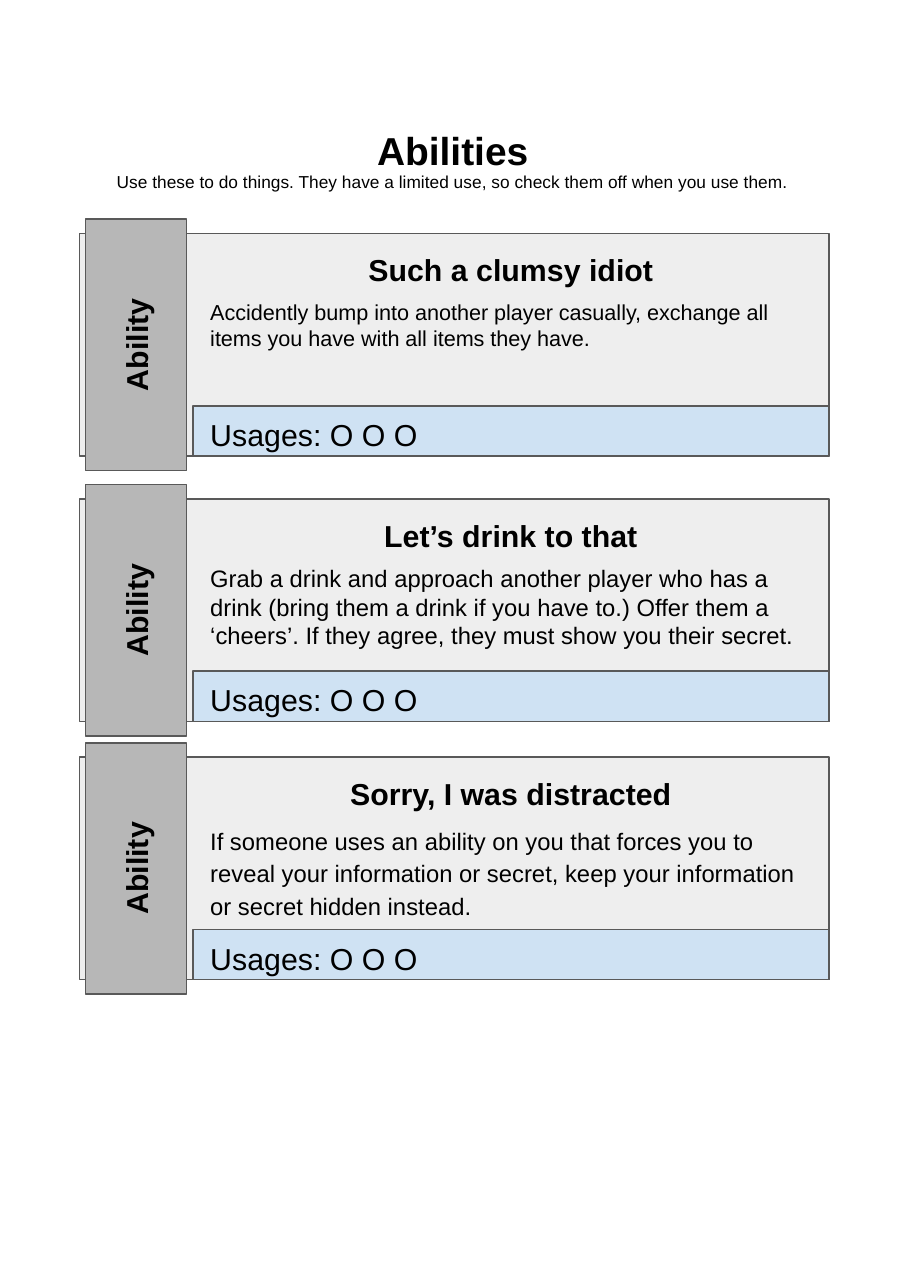
from dataclasses import dataclass

from pptx import Presentation
from pptx.dml.color import RGBColor
from pptx.enum.shapes import MSO_SHAPE
from pptx.enum.text import MSO_ANCHOR, MSO_AUTO_SIZE, PP_ALIGN
from pptx.shapes.autoshape import Shape
from pptx.slide import Slide
from pptx.util import Cm, Pt

RECT = MSO_SHAPE.RECTANGLE
TOP, MIDDLE = MSO_ANCHOR.TOP, MSO_ANCHOR.MIDDLE
LEFT, CENTER = PP_ALIGN.LEFT, PP_ALIGN.CENTER
NO_FIT = MSO_AUTO_SIZE.NONE

BLACK = RGBColor(0x00, 0x00, 0x00)
OUTLINE = RGBColor(0x59, 0x59, 0x59)
CARD_FILL = RGBColor(0xEE, 0xEE, 0xEE)
TAB_FILL = RGBColor(0xB7, 0xB7, 0xB7)
USAGE_FILL = RGBColor(0xCF, 0xE2, 0xF3)

FONT = "Arial"
INSET = Cm(0.25)
CARD_LEFT, CARD_W, CARD_H = 1.3, 12.22, 3.63
TAB_CENTER, TAB_LENGTH, TAB_DEPTH = 2.22, 4.1, 1.65
BAR_LEFT, BAR_H = 3.15, 0.82
TEXT_LEFT, TEXT_W = 3.18, 10.31


@dataclass(frozen=True)
class Ability:
    top: float
    name: str
    description: str
    size: float
    spacing: float = 1.0


@dataclass(frozen=True)
class Box:
    """Left, top, width and height in centimetres."""
    left: float
    top: float
    width: float
    height: float


ABILITIES = [
    Ability(3.81, "Such a clumsy idiot",
            "Accidently bump into another player casually, exchange all items "
            "you have with all items they have.", 10),
    Ability(8.14, "Let’s drink to that",
            "Grab a drink and approach another player who has a drink (bring "
            "them a drink if you have to.) Offer them a ‘cheers’. If they "
            "agree, they must show you their secret.", 11),
    Ability(12.35, "Sorry, I was distracted",
            "If someone uses an ability on you that forces you to reveal your "
            "information or secret, keep your information or secret hidden "
            "instead.", 11, 1.15),
]


def place(sp: Shape, box: Box) -> None:
    sp.left, sp.top = Cm(box.left), Cm(box.top)
    sp.width, sp.height = Cm(box.width), Cm(box.height)


def write(sp: Shape, text: str, size: float, bold: bool = False,
          align: PP_ALIGN = LEFT, anchor: MSO_ANCHOR = TOP,
          spacing: float = 1.0) -> None:
    tf = sp.text_frame
    tf.word_wrap = True
    tf.auto_size = NO_FIT
    tf.vertical_anchor = anchor
    tf.margin_left = tf.margin_right = INSET
    tf.margin_top = tf.margin_bottom = INSET
    p = tf.paragraphs[0]
    p.alignment = align
    p.line_spacing = spacing
    p.space_before = Pt(0)
    r = p.add_run()
    r.text = text
    r.font.name = FONT
    r.font.size = Pt(size)
    r.font.bold = bold
    r.font.color.rgb = BLACK


def add_panel(s: Slide, box: Box, fill: RGBColor) -> Shape:
    sp = s.shapes.add_shape(RECT, 0, 0, 0, 0)
    place(sp, box)
    sp.shadow.inherit = False
    sp.fill.solid()
    sp.fill.fore_color.rgb = fill
    sp.line.color.rgb = OUTLINE
    sp.line.width = Pt(0.75)
    return sp


def add_text(s: Slide, box: Box) -> Shape:
    sp = s.shapes.add_textbox(0, 0, 0, 0)
    place(sp, box)
    return sp


def add_ability(s: Slide, ability: Ability) -> None:
    top = ability.top
    add_panel(s, Box(CARD_LEFT, top, CARD_W, CARD_H), CARD_FILL)

    tab = add_panel(s, Box(TAB_CENTER - TAB_LENGTH / 2,
                           top + (CARD_H - TAB_DEPTH) / 2,
                           TAB_LENGTH, TAB_DEPTH), TAB_FILL)
    tab.rotation = 270
    write(tab, "Ability", 14, bold=True, align=CENTER, anchor=MIDDLE)

    name = add_text(s, Box(TEXT_LEFT, top + 0.04, TEXT_W, 1.07))
    write(name, ability.name, 14, bold=True, align=CENTER)
    description = add_text(s, Box(TEXT_LEFT, top + 0.81, TEXT_W, 1.9))
    write(description, ability.description, ability.size,
          spacing=ability.spacing)

    add_panel(s, Box(BAR_LEFT, top + CARD_H - BAR_H,
                     CARD_LEFT + CARD_W - BAR_LEFT, BAR_H), USAGE_FILL)
    usages = add_text(s, Box(TEXT_LEFT, top + 2.73, TEXT_W, 1.07))
    write(usages, "Usages: O O O", 14)


def main() -> None:
    prs = Presentation()
    prs.slide_width, prs.slide_height = Cm(14.81), Cm(21.01)
    s = prs.slides.add_slide(prs.slide_layouts[0])

    title, subtitle = s.placeholders
    place(title, Box(0.58, 1.82, 13.61, 1.2))
    write(title, "Abilities", 18, bold=True, align=CENTER)
    place(subtitle, Box(0.58, 2.55, 13.61, 0.9))
    write(subtitle, "Use these to do things. They have a limited use, so "
          "check them off when you use them.", 8, align=CENTER)

    for ability in ABILITIES:
        add_ability(s, ability)
    prs.save("out.pptx")


if __name__ == "__main__":
    main()
